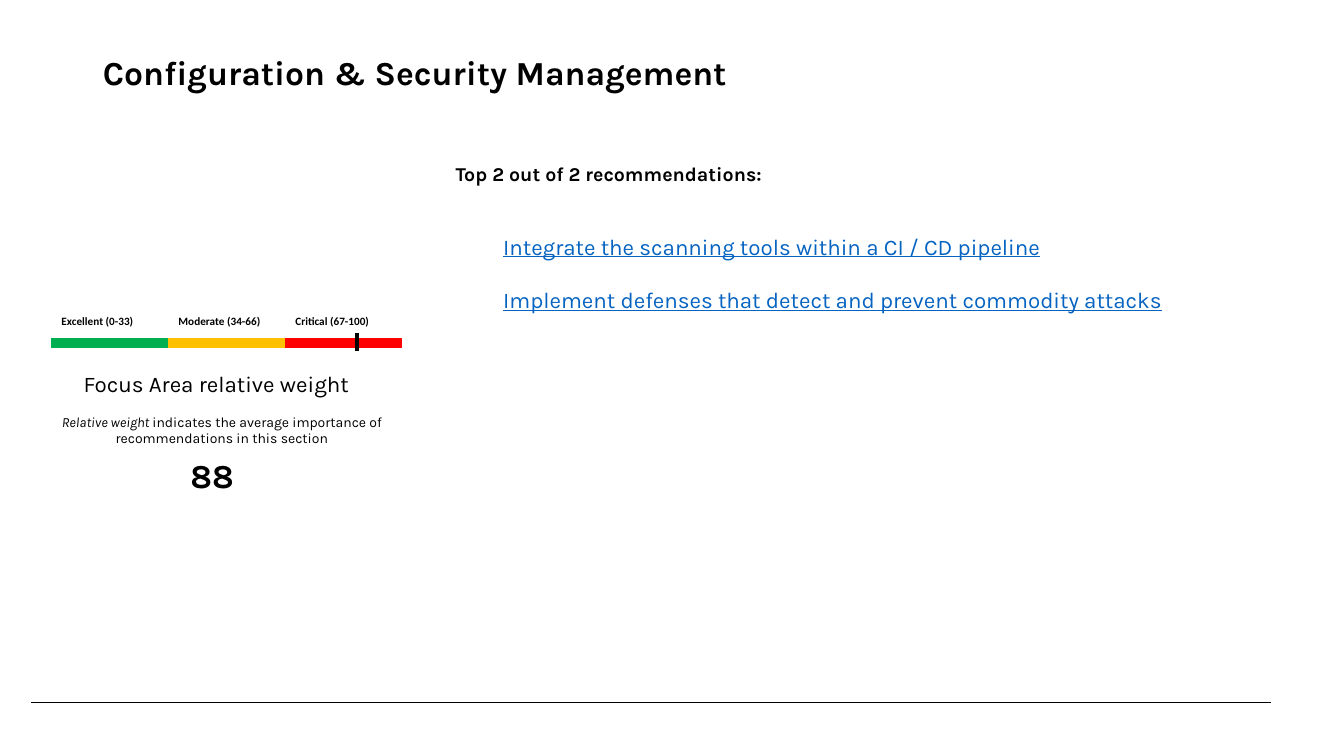
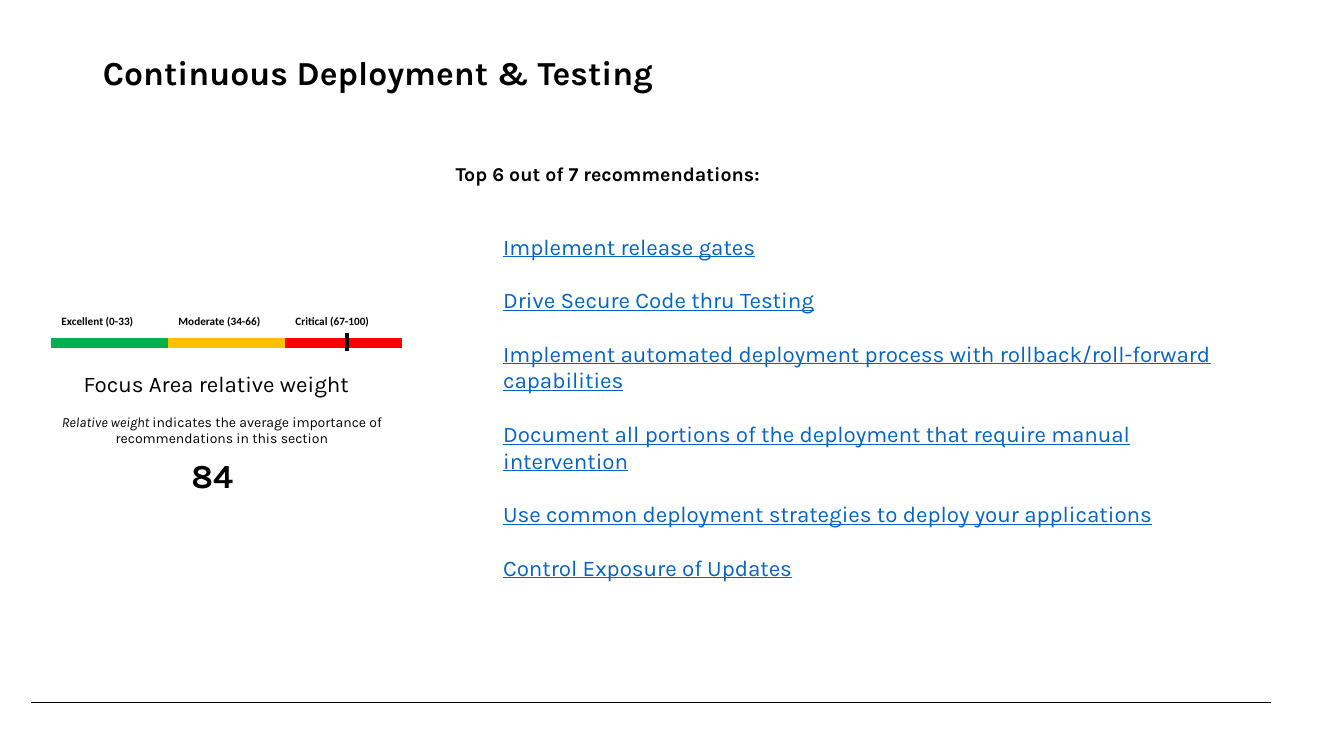
from collections import namedtuple

from lxml import etree
from pptx import Presentation
from pptx.dml.color import RGBColor
from pptx.enum.shapes import MSO_CONNECTOR, MSO_SHAPE
from pptx.enum.text import MSO_ANCHOR, MSO_AUTO_SIZE, PP_ALIGN
from pptx.oxml.ns import qn
from pptx.util import Emu, Pt

PX = 9144  # EMU, 100 px to the inch

BLACK = RGBColor(0x00, 0x00, 0x00)
GREEN = RGBColor(0x00, 0xB0, 0x50)
AMBER = RGBColor(0xFF, 0xC0, 0x00)
RED = RGBColor(0xFF, 0x00, 0x00)
LINK_BLUE = RGBColor(0x05, 0x63, 0xC1)

BODY_FONT = "Karla"
SCALE_FONT = "Calibri"

Box = namedtuple("Box", "left top width height")
SLIDE = Box(0, 0, 1333, 750)
TITLE = Box(92, 46, 1106, 50)
WEIGHT_PANEL = Box(0, 307, 440, 189)
ADVICE_PANEL = Box(442, 156, 817, 403)
FOOTER = Box(31, 697, 1230, 0)

RATINGS = [
    ("Excellent (0-33)", GREEN),
    ("Moderate (34-66)", AMBER),
    ("Critical (67-100)", RED),
]

# marker is the distance in px from the left end of the rating scale
FocusArea = namedtuple("FocusArea", "title weight marker heading advice")
FOCUS_AREAS = [
    FocusArea(
        "Configuration & Security Management", 88, 303,
        "Top 2 out of 2 recommendations:",
        [
            "Integrate the scanning tools within a CI / CD pipeline",
            "Implement defenses that detect and prevent commodity attacks",
        ],
    ),
    FocusArea(
        "Continuous Deployment & Testing", 84, 293,
        "Top 6 out of 7 recommendations:",
        [
            "Implement release gates",
            "Drive Secure Code thru Testing",
            "Implement automated deployment process with "
            "rollback/roll-forward capabilities",
            "Document all portions of the deployment that require "
            "manual intervention",
            "Use common deployment strategies to deploy your applications",
            "Control Exposure of Updates",
        ],
    ),
]


def emu(*lengths):
    return [Emu(length * PX) for length in lengths]


def inside(box, left, top, width, height):
    """Box whose left and top are counted from the corner of another box."""
    return Box(box.left + left, box.top + top, width, height)


def write(frame, paragraphs, size, font=BODY_FONT, color=BLACK, bold=False,
          underline=False, align=PP_ALIGN.LEFT, gap=0, lead=""):
    """Fill a text frame; lead is an italic start of the first paragraph."""
    frame.word_wrap = True
    for index, words in enumerate(paragraphs):
        paragraph = frame.paragraphs[0] if index == 0 else frame.add_paragraph()
        paragraph.alignment = align
        paragraph.space_before = Pt(0)
        paragraph.space_after = Pt(gap)
        parts = [(words, False)]
        if lead and index == 0:
            parts.insert(0, (lead, True))
        for part, italic in parts:
            run = paragraph.add_run()
            run.text = part
            run.font.name = font
            run.font.size = Pt(size)
            run.font.bold = bold
            run.font.italic = italic
            run.font.underline = underline
            run.font.color.rgb = color


def add_text(slide, box, words, size, **style):
    frame = slide.shapes.add_textbox(*emu(*box)).text_frame
    write(frame, [words], size, **style)


def fill_placeholder(placeholder, box, paragraphs, size, **style):
    placeholder.left, placeholder.top, placeholder.width, placeholder.height = emu(*box)
    frame = placeholder.text_frame
    frame.auto_size = MSO_AUTO_SIZE.NONE
    frame.vertical_anchor = MSO_ANCHOR.TOP
    write(frame, paragraphs, size, **style)


def remove_bullets(frame):
    for paragraph in frame.paragraphs:
        properties = paragraph._p.get_or_add_pPr()
        properties.set("marL", "0")
        properties.set("indent", "0")
        etree.SubElement(properties, qn("a:buNone"))


def add_line(slide, box, weight):
    """Draw a line from the top left to the bottom right of the box."""
    line = slide.shapes.add_connector(
        MSO_CONNECTOR.STRAIGHT,
        *emu(box.left, box.top, box.left + box.width, box.top + box.height))
    line.line.color.rgb = BLACK
    line.line.width = Pt(weight)
    etree.SubElement(line._element.spPr, qn("a:effectLst"))


def add_rating_scale(slide, box, marker):
    """Rating labels over coloured bands, with a tick at the weight."""
    pitch = box.width // len(RATINGS)
    labels = slide.shapes.add_table(
        1, len(RATINGS), *emu(box.left, box.top, box.width, 21)).table
    labels.first_row = False
    labels.horz_banding = False
    for index, (rating, color) in enumerate(RATINGS):
        cell = labels.cell(0, index)
        cell.fill.background()
        write(cell.text_frame, [rating], 8, font=SCALE_FONT, bold=True)

        band = slide.shapes.add_shape(
            MSO_SHAPE.RECTANGLE,
            *emu(*inside(box, index * pitch, 29, pitch - 1, 9)))
        band.shadow.inherit = False
        band.fill.solid()
        band.fill.fore_color.rgb = color
        band.line.color.rgb = color
        band.line.width = Pt(1)
    add_line(slide, inside(box, marker, 23, 0, 18), 2.5)


def add_weight_panel(slide, box, area):
    add_rating_scale(slide, inside(box, 51, 0, 348, 41), area.marker)
    add_text(slide, inside(box, 56, 55, 317, 37),
             "Focus Area relative weight", 16, align=PP_ALIGN.CENTER)
    add_text(slide, inside(box, 0, 98, box.width, 44),
             "indicates the average importance of recommendations in this section",
             10, align=PP_ALIGN.CENTER, lead="Relative weight ")
    add_text(slide, inside(box, 151, 139, 119, 50),
             str(area.weight), 24, bold=True, align=PP_ALIGN.CENTER)


def add_advice_panel(slide, box, area):
    add_text(slide, inside(box, 0, 0, 672, 34), area.heading, 14, bold=True)
    advice = slide.placeholders[1]
    fill_placeholder(advice, inside(box, 47, 70, box.width - 47, box.height - 70),
                     area.advice, 16, color=LINK_BLUE, underline=True, gap=19)
    remove_bullets(advice.text_frame)


def add_focus_area_slide(deck, area):
    slide = deck.slides.add_slide(deck.slide_layouts[1])
    fill_placeholder(slide.shapes.title, TITLE, [area.title], 24, bold=True)
    add_weight_panel(slide, WEIGHT_PANEL, area)
    add_advice_panel(slide, ADVICE_PANEL, area)
    add_line(slide, FOOTER, 0.5)


def main():
    deck = Presentation()
    deck.slide_width, deck.slide_height = emu(SLIDE.width, SLIDE.height)
    for area in FOCUS_AREAS:
        add_focus_area_slide(deck, area)
    deck.save("out.pptx")


if __name__ == "__main__":
    main()
